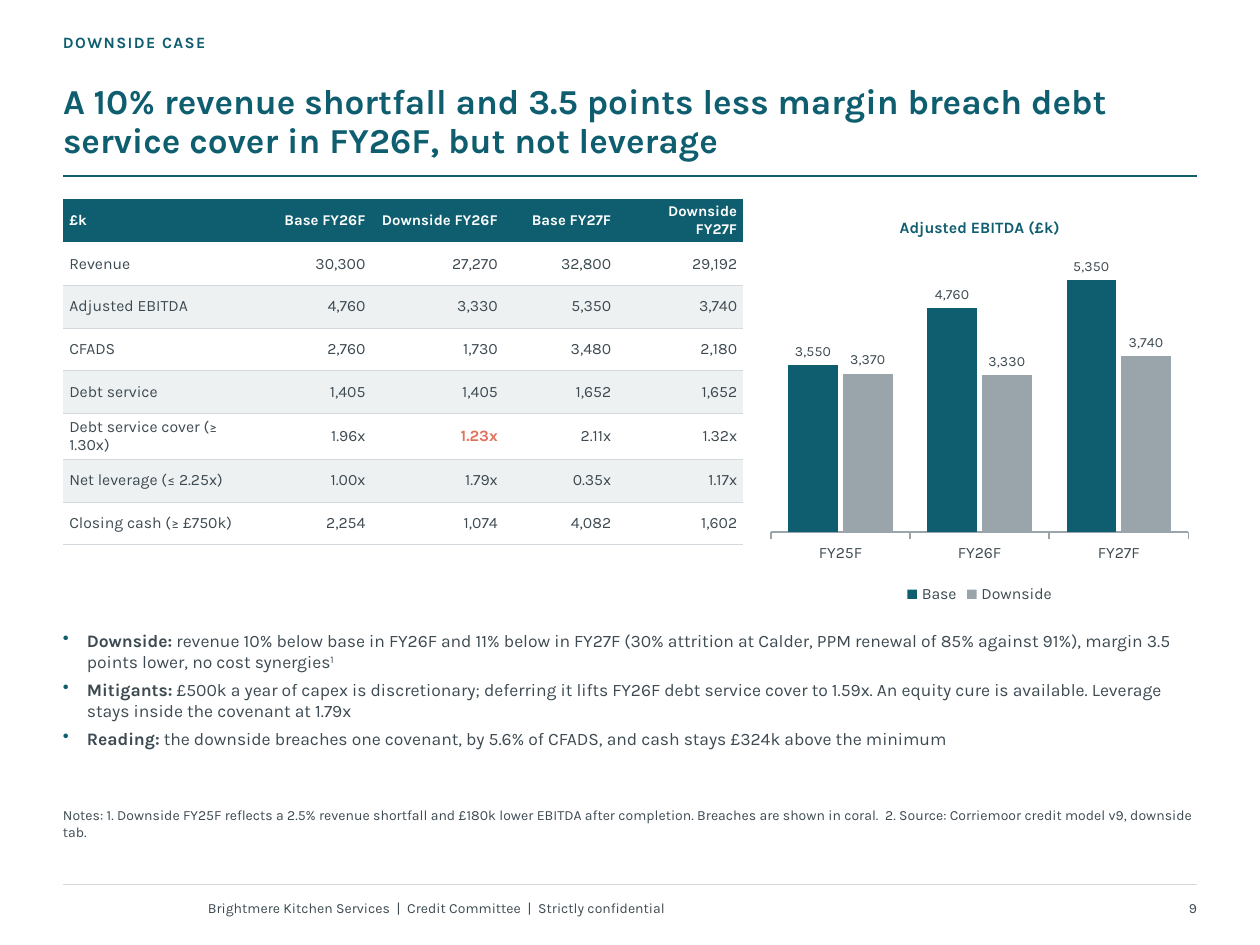
"""Build the downside case slide: covenant table, EBITDA chart, reading and notes."""
import lxml.etree
import pptx
import pptx.chart.data
import pptx.dml.color
import pptx.enum.chart
import pptx.enum.shapes
import pptx.enum.text
import pptx.oxml.ns
import pptx.util

PX = 9144
TEAL = pptx.dml.color.RGBColor(0x0E, 0x5E, 0x6F)
INK = pptx.dml.color.RGBColor(0x3D, 0x4A, 0x52)
GREY = pptx.dml.color.RGBColor(0x9A, 0xA5, 0xAB)
RULE = pptx.dml.color.RGBColor(0xD3, 0xD9, 0xDC)
BAND = pptx.dml.color.RGBColor(0xEE, 0xF1, 0xF2)
CORAL = pptx.dml.color.RGBColor(0xE2, 0x72, 0x5B)
WHITE = pptx.dml.color.RGBColor(0xFF, 0xFF, 0xFF)

Pt = pptx.util.Pt
qn = pptx.oxml.ns.qn
Anchor = pptx.enum.text.MSO_ANCHOR
Align = pptx.enum.text.PP_ALIGN


def apply(target, values):
    for name, value in values.items():
        setattr(target, name, value)


def set_font(font, size, color, bold=False):
    apply(font, {"name": "Karla", "size": Pt(size), "bold": bold})
    font.color.rgb = color


deck = pptx.Presentation()
apply(deck, {"slide_width": 1000 * PX, "slide_height": 750 * PX})
slide = deck.slides.add_slide(deck.slide_layouts[5])

for y, color, weight in [(702, RULE, 0.75), (140, TEAL, 1.25)]:
    divider = slide.shapes.add_connector(
        pptx.enum.shapes.MSO_CONNECTOR.STRAIGHT, 50 * PX, y * PX, 950 * PX, y * PX)
    divider.line.color.rgb = color
    divider.line.width = Pt(weight)
    lxml.etree.SubElement(divider._element.spPr, qn("a:effectLst"))

headline = slide.shapes.title
apply(headline, {"left": 50 * PX, "top": 50 * PX, "width": 900 * PX, "height": 82 * PX})
apply(headline.text_frame, {
    "text": "A 10% revenue shortfall and 3.5 points less margin breach debt service cover "
            "in FY26F, but not leverage",
    "word_wrap": True, "auto_size": pptx.enum.text.MSO_AUTO_SIZE.NONE,
    "vertical_anchor": Anchor.BOTTOM,
    "margin_left": 0, "margin_top": 0, "margin_right": 0, "margin_bottom": 4 * PX})
apply(headline.text_frame.paragraphs[0], {"alignment": Align.LEFT, "line_spacing": 0.92})
set_font(headline.text_frame.paragraphs[0].runs[0].font, 20, TEAL, True)

captions = [
    ("DOWNSIDE CASE", (50, 26, 700, 24), 9, TEAL, True, Align.LEFT, Anchor.TOP),
    ("Notes: 1. Downside FY25F reflects a 2.5% revenue shortfall and £180k lower EBITDA after "
     "completion. Breaches are shown in coral.  2. Source: Corriemoor credit model v9, "
     "downside tab.", (50, 640, 900, 58), 8, INK, False, Align.LEFT, Anchor.TOP),
    ("Brightmere Kitchen Services  |  Credit Committee  |  Strictly confidential",
     (165, 708, 560, 26), 8, INK, False, Align.LEFT, Anchor.MIDDLE),
    ("9", (850, 708, 100, 26), 8, INK, False, Align.RIGHT, Anchor.MIDDLE),
]
for text, place, size, color, bold, alignment, anchor in captions:
    caption = slide.shapes.add_textbox(*(length * PX for length in place)).text_frame
    apply(caption, {"text": text, "word_wrap": True, "vertical_anchor": anchor,
                    "margin_left": 0, "margin_top": 0, "margin_right": 0, "margin_bottom": 0})
    caption.paragraphs[0].alignment = alignment
    run = caption.paragraphs[0].runs[0]
    set_font(run.font, size, color, bold)
    if text == "DOWNSIDE CASE":
        run._r.get_or_add_rPr().set("spc", "80")

covenant_rows = [
    ("£k", "Base FY26F", "Downside FY26F", "Base FY27F", "Downside FY27F"),
    ("Revenue", "30,300", "27,270", "32,800", "29,192"),
    ("Adjusted EBITDA", "4,760", "3,330", "5,350", "3,740"),
    ("CFADS", "2,760", "1,730", "3,480", "2,180"),
    ("Debt service", "1,405", "1,405", "1,652", "1,652"),
    ("Debt service cover (≥ 1.30x)", "1.96x", "1.23x", "2.11x", "1.32x"),
    ("Net leverage (≤ 2.25x)", "1.00x", "1.79x", "0.35x", "1.17x"),
    ("Closing cash (≥ £750k)", "2,254", "1,074", "4,082", "1,602"),
]
covenants = slide.shapes.add_table(
    len(covenant_rows), 5, 50 * PX, 158 * PX, 540 * PX, 274 * PX).table
covenants.horz_banding = False
for column, width in zip(covenants.columns, (155, 90, 105, 90, 100)):
    column.width = width * PX
for r, values in enumerate(covenant_rows):
    covenants.rows[r].height = (36 if r == 5 else 34) * PX
    for c, value in enumerate(values):
        cell = covenants.cell(r, c)
        apply(cell, {"text": value, "vertical_anchor": Anchor.MIDDLE,
                     "margin_left": 5 * PX, "margin_right": 5 * PX,
                     "margin_top": 3 * PX, "margin_bottom": 3 * PX})
        for side, ruled in [("L", False), ("R", False), ("T", r > 1), ("B", r > 0)]:
            border = lxml.etree.SubElement(
                cell._tc.get_or_add_tcPr(), qn(f"a:ln{side}"), w=str(Pt(0.5)))
            if ruled:
                paint = lxml.etree.SubElement(border, qn("a:solidFill"))
                lxml.etree.SubElement(paint, qn("a:srgbClr"), val=str(RULE))
            else:
                lxml.etree.SubElement(border, qn("a:noFill"))
        cell.fill.solid()
        cell.fill.fore_color.rgb = TEAL if r == 0 else WHITE if r % 2 else BAND
        paragraph = cell.text_frame.paragraphs[0]
        paragraph.alignment = Align.RIGHT if c else Align.LEFT
        breach = value == "1.23x"
        set_font(paragraph.runs[0].font, 9 if r else 8.5,
                 WHITE if r == 0 else CORAL if breach else INK, r == 0 or breach)

ebitda = pptx.chart.data.CategoryChartData()
ebitda.categories = ["FY25F", "FY26F", "FY27F"]
ebitda.add_series("Base", (3550, 4760, 5350))
ebitda.add_series("Downside", (3370, 3330, 3740))
chart = slide.shapes.add_chart(
    pptx.enum.chart.XL_CHART_TYPE.COLUMN_CLUSTERED,
    605 * PX, 158 * PX, 345 * PX, 325 * PX, ebitda).chart
set_font(chart.font, 9, INK)
apply(chart, {"has_title": True, "has_legend": True})
chart.chart_title.include_in_layout = False
chart.chart_title.text_frame.text = "Adjusted EBITDA (£k)"
set_font(chart.chart_title.text_frame.paragraphs[0].runs[0].font, 9, TEAL, True)
apply(chart.legend, {"position": pptx.enum.chart.XL_LEGEND_POSITION.BOTTOM,
                     "include_in_layout": False})
set_font(chart.legend.font, 9, INK)
apply(chart.value_axis, {"visible": False, "has_major_gridlines": False, "minimum_scale": 0})
apply(chart.category_axis, {
    "tick_label_position": pptx.enum.chart.XL_TICK_LABEL_POSITION.LOW,
    "major_tick_mark": pptx.enum.chart.XL_TICK_MARK.OUTSIDE})
set_font(chart.category_axis.tick_labels.font, 9, INK)
chart.category_axis.format.line.color.rgb = GREY
chart.category_axis.format.line.width = Pt(0.75)
columns = chart.plots[0]
apply(columns, {"gap_width": 70, "overlap": -10, "vary_by_categories": False})
for series, color in zip(columns.series, (TEAL, GREY)):
    series.format.fill.solid()
    series.format.fill.fore_color.rgb = color
    apply(series.data_labels, {
        "show_value": True, "number_format": "#,##0;(#,##0)", "number_format_is_linked": False,
        "position": pptx.enum.chart.XL_LABEL_POSITION.OUTSIDE_END})
    set_font(series.data_labels.font, 8, INK)

findings = [
    ("Downside:", " revenue 10% below base in FY26F and 11% below in FY27F (30% attrition at "
     "Calder, PPM renewal of 85% against 91%), margin 3.5 points lower, no cost synergies", "1"),
    ("Mitigants:", " £500k a year of capex is discretionary; deferring it lifts FY26F debt "
     "service cover to 1.59x. An equity cure is available. Leverage stays inside the covenant "
     "at 1.79x", ""),
    ("Reading:", " the downside breaches one covenant, by 5.6% of CFADS, and cash stays £324k "
     "above the minimum", ""),
]
reading = slide.shapes.add_textbox(50 * PX, 498 * PX, 900 * PX, 134 * PX).text_frame
apply(reading, {"word_wrap": True, "margin_left": 0, "margin_top": 2 * PX,
                "margin_right": 0, "margin_bottom": 0})
for i, (lead, detail, footnote) in enumerate(findings):
    paragraph = reading.add_paragraph() if i else reading.paragraphs[0]
    properties = paragraph._p.get_or_add_pPr()
    apply(paragraph, {"alignment": Align.LEFT, "space_before": Pt(4 if i else 0)})
    properties.set("marL", str(19 * PX))
    properties.set("indent", str(-19 * PX))
    bullet_color = lxml.etree.SubElement(properties, qn("a:buClr"))
    lxml.etree.SubElement(bullet_color, qn("a:srgbClr"), val=str(TEAL))
    lxml.etree.SubElement(properties, qn("a:buChar"), char="•")
    for text, bold, baseline in [(lead, True, 0), (detail, False, 0), (footnote, False, 30000)]:
        if text:
            run = paragraph.add_run()
            run.text = text
            set_font(run.font, 10, INK, bold)
            if baseline:
                run._r.get_or_add_rPr().set("baseline", str(baseline))

deck.save("out.pptx")
